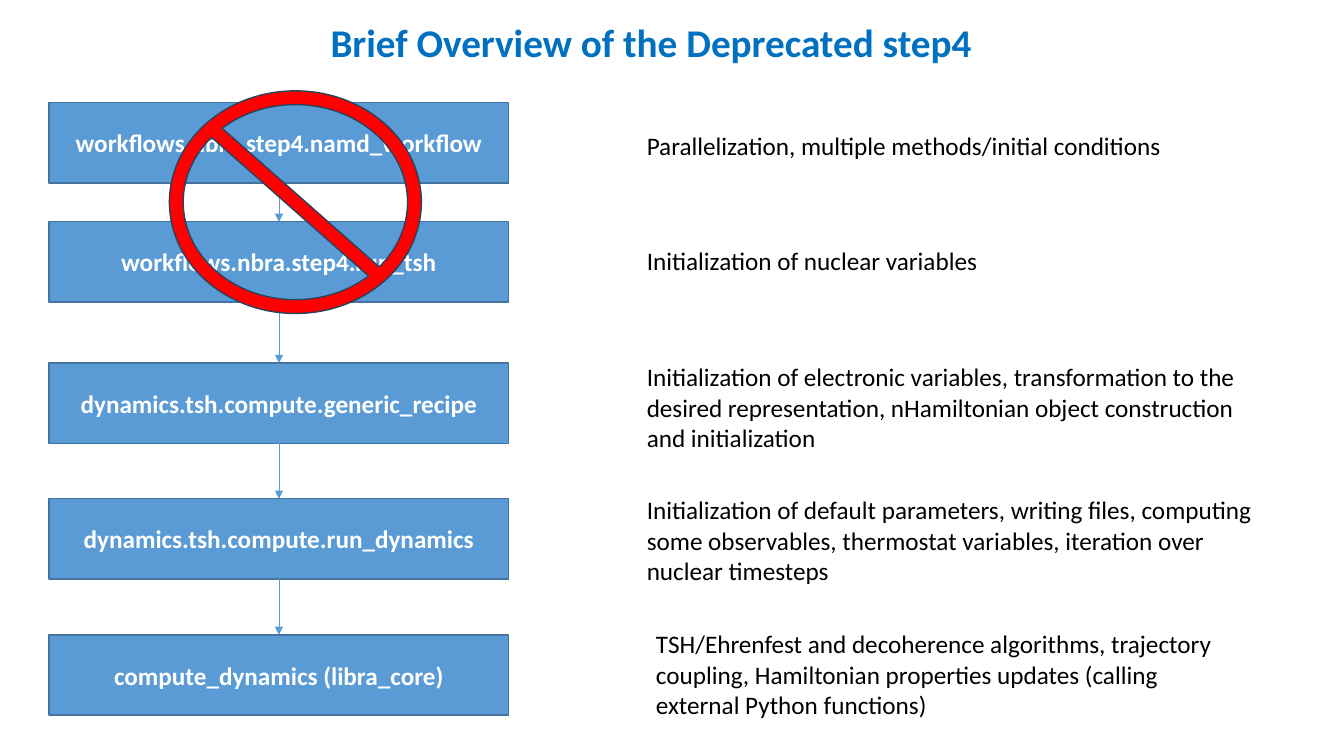
from dataclasses import dataclass

import pptx
import pptx.dml.color
import pptx.enum.shapes
import pptx.enum.text
import pptx.oxml
import pptx.oxml.ns
import pptx.util

Cm = pptx.util.Cm
Pt = pptx.util.Pt
SHAPE = pptx.enum.shapes.MSO_SHAPE
ALIGN = pptx.enum.text.PP_ALIGN
BLUE = "5B9BD5"
BOX_LEFT, BOX_WIDTH, BOX_HEIGHT = 1.24, 11.58, 2.02


@dataclass
class Area:
    left: float
    top: float
    width: float
    height: float

    def lengths(self) -> list[pptx.util.Length]:
        return [Cm(v) for v in (self.left, self.top, self.width, self.height)]


@dataclass
class Step:
    """One call in the chain, with its note on the right."""
    top: float
    call: str
    note: str
    area: Area


STEPS = [
    Step(2.59, "workflows.nbra.step4.namd_workflow",
         "Parallelization, multiple methods/initial conditions",
         Area(16.05, 3.15, 14.88, 1.02)),
    Step(5.59, "workflows.nbra.step4.run_tsh",
         "Initialization of nuclear variables",
         Area(16.05, 6.05, 9.2, 1.02)),
    Step(9.15, "dynamics.tsh.compute.generic_recipe",
         "Initialization of electronic variables, transformation to the "
         "desired representation, nHamiltonian object construction and "
         "initialization",
         Area(16.05, 8.99, 16.2, 2.57)),
    Step(12.57, "dynamics.tsh.compute.run_dynamics",
         "Initialization of default parameters, writing files, computing "
         "some observables, thermostat variables, iteration over nuclear "
         "timesteps",
         Area(16.05, 12.34, 16.2, 2.57)),
    Step(16, "compute_dynamics (libra_core)",
         "TSH/Ehrenfest and decoherence algorithms, trajectory coupling, "
         "Hamiltonian properties updates (calling external Python functions)",
         Area(16.28, 15.72, 15.34, 2.57)),
]


def color(code: str) -> pptx.dml.color.RGBColor:
    return pptx.dml.color.RGBColor.from_string(code)


def write(shape, text: str, size: float, code: str, bold: bool = False,
          align: ALIGN = ALIGN.LEFT) -> None:
    frame = shape.text_frame
    frame.word_wrap = True
    frame.text = text
    line = frame.paragraphs[0]
    line.alignment = align
    font = line.runs[0].font
    font.name = "Calibri"
    font.size = Pt(size)
    font.bold = bold
    font.color.rgb = color(code)


def add_form(slide, kind: SHAPE, area: Area, fill: str, edge: str):
    """Add a filled, outlined preset shape without a shadow."""
    shape = slide.shapes.add_shape(kind, *area.lengths())
    shape.shadow.inherit = False
    shape.fill.solid()
    shape.fill.fore_color.rgb = color(fill)
    shape.line.color.rgb = color(edge)
    shape.line.width = Pt(1)
    return shape


def add_note(slide, area: Area, text: str, size: float, code: str,
             bold: bool = False, align: ALIGN = ALIGN.LEFT) -> None:
    box = slide.shapes.add_textbox(*area.lengths())
    write(box, text, size, code, bold, align)


def add_arrow(slide, start: float, end: float) -> None:
    """Point down from one box to the next, along their centre line."""
    mid = Cm(BOX_LEFT + BOX_WIDTH / 2)
    arrow = slide.shapes.add_connector(
        pptx.enum.shapes.MSO_CONNECTOR.STRAIGHT, mid, Cm(start), mid, Cm(end))
    arrow.line.color.rgb = color(BLUE)
    arrow.line.width = Pt(0.5)
    props = arrow.element.spPr
    tip = pptx.oxml.ns.qn("a:tailEnd")
    arrow.line._get_or_add_ln().makeelement(tip)
    pptx.oxml.ns.qn("a:ln")
    line = props.find(pptx.oxml.ns.qn("a:ln"))
    line.append(line.makeelement(tip, {"type": "triangle"}))
    props.append(props.makeelement(pptx.oxml.ns.qn("a:effectLst"), {}))


def main() -> None:
    deck = pptx.Presentation()
    deck.slide_width, deck.slide_height = Cm(33.87), Cm(19.05)
    slide = deck.slides.add_slide(deck.slide_layouts[6])

    add_note(slide, Area(5.94, 0.33, 20.93, 1.45),
             "Brief Overview of the Deprecated step4", 28, "0070C0",
             True, ALIGN.CENTER)

    for step in STEPS:
        area = Area(BOX_LEFT, step.top, BOX_WIDTH, BOX_HEIGHT)
        box = add_form(slide, SHAPE.RECTANGLE, area, BLUE, "43739E")
        write(box, step.call, 18, "FFFFFF", True, ALIGN.CENTER)
        add_note(slide, step.area, step.note, 18, "000000")

    for step, after in zip(STEPS, STEPS[1:]):
        add_arrow(slide, step.top + BOX_HEIGHT, after.top)

    ban = add_form(slide, SHAPE.NO_SYMBOL, Area(4.27, 2.29, 6.35, 5.61),
                   "FF0000", "28445D")
    ban.adjustments[0] = 0.062

    deck.save("out.pptx")


if __name__ == "__main__":
    main()
